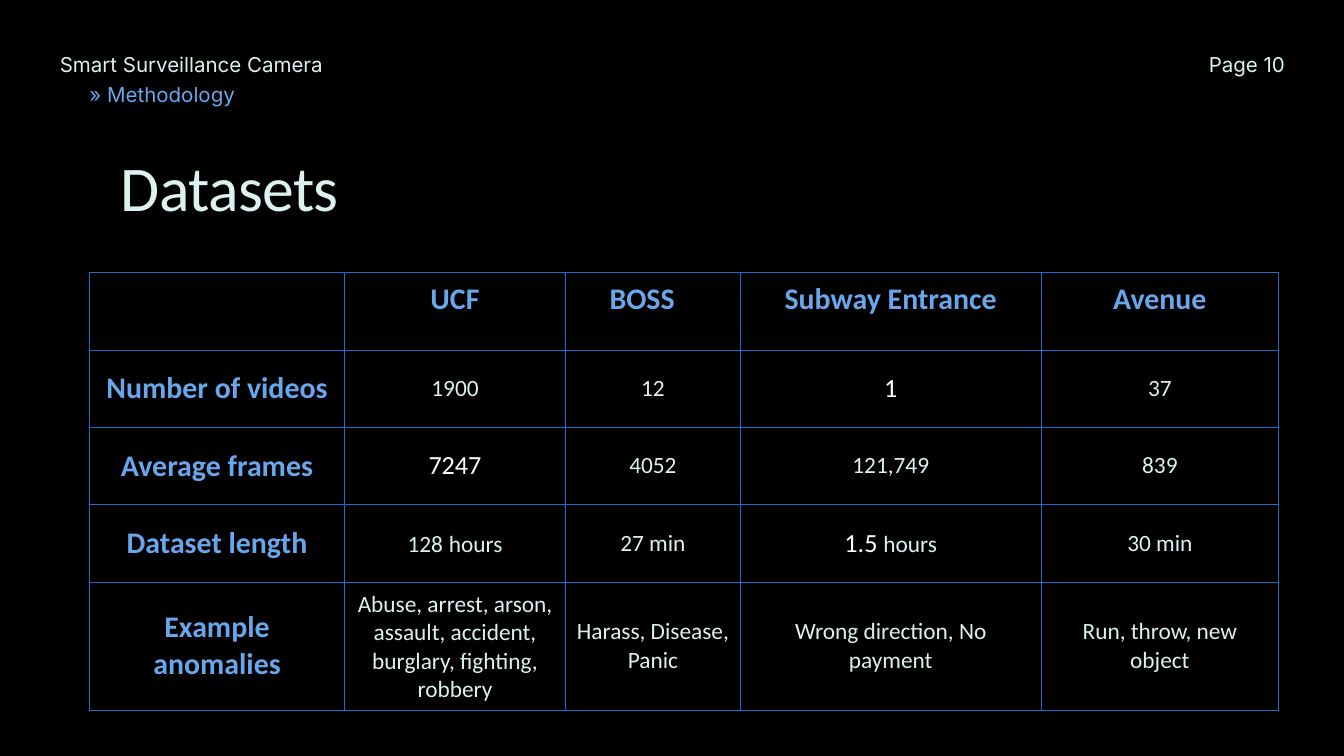
"""Build the Datasets slide: page header, title and dataset comparison table."""
from lxml import etree
from pptx import Presentation
from pptx.dml.color import RGBColor
from pptx.enum.text import MSO_ANCHOR, PP_ALIGN
from pptx.oxml.ns import qn
from pptx.util import Pt

LEFT, CENTER, RIGHT = PP_ALIGN.LEFT, PP_ALIGN.CENTER, PP_ALIGN.RIGHT
TOP, MIDDLE = MSO_ANCHOR.TOP, MSO_ANCHOR.MIDDLE
MINT, SKY, BLUE, WHITE, BLACK = "DCF2F0", "69A7ED", "196DCD", "FFFFFF", "000000"


def rgb(value):
    return RGBColor.from_string(value)


def add_text(p, text, font="Calibri", size=25, color=MINT, bold=False, align=CENTER, spc=None):
    p.alignment = align
    r = p.add_run()
    r.text = text
    r.font.name = font
    r.font.size = Pt(size)
    r.font.bold = bold
    r.font.color.rgb = rgb(color)
    if spc is not None:
        r._r.get_or_add_rPr().set("spc", str(spc))


prs = Presentation()
prs.slide_width, prs.slide_height = Pt(1440), Pt(810)
s = prs.slides.add_slide(prs.slide_layouts[6])
s.background.fill.solid()
s.background.fill.fore_color.rgb = rgb(BLACK)

header = dict(font="Inter", size=22)
boxes = [
    ("Page 10", 1283.8, 51.8, 92.9, 29.5, 30.8, dict(header, align=RIGHT)),
    ("Smart Surveillance Camera", 64.1, 51.8, 284.4, 28.8, 30.8, dict(header, align=LEFT)),
    ("» Methodology", 95.8, 83.5, 190.8, 29.5, 30.8, dict(header, align=LEFT, color=SKY)),
    ("Datasets", 129.6, 164.2, 716.4, 77, 75.7, dict(size=68.2, align=LEFT, spc=-70)),
]
for text, x, y, w, h, spacing, fmt in boxes:
    tf = s.shapes.add_textbox(Pt(x), Pt(y), Pt(w), Pt(h)).text_frame
    tf.margin_left = tf.margin_top = tf.margin_right = tf.margin_bottom = 0
    tf.word_wrap = True
    p = tf.paragraphs[0]
    p.line_spacing = Pt(spacing)
    add_text(p, text, **fmt)

# Text between bars is set larger and in white.
rows = [
    ["", "UCF", "BOSS", "Subway Entrance", "Avenue"],
    ["Number of videos", "1900", "12", "|1|", "37"],
    ["Average frames", "|7247|", "4052", "121,749", "839"],
    ["Dataset length", "128| |hours", "27 min", "|1.5 |hours", "30 min"],
    ["Example anomalies", "Abuse, arrest, arson, assault, accident, burglary, fighting, robbery",
     "Harass, Disease, Panic", "Wrong direction, No payment", "Run, throw, new object"],
]
widths = [273.6, 236.2, 187.9, 321.8, 254.9]
row_height = 82.8
table = s.shapes.add_table(len(rows), len(widths), Pt(95.8), Pt(292.3),
                           Pt(sum(widths)), Pt(row_height * len(rows))).table
table.first_row = table.horz_banding = False
for col, width in zip(table.columns, widths):
    col.width = Pt(width)

for i, row in enumerate(rows):
    for j, text in enumerate(row):
        cell = table.cell(i, j)
        cell.margin_left = cell.margin_right = Pt(11.5)
        cell.margin_top = cell.margin_bottom = Pt(8.6)
        cell.vertical_anchor = MIDDLE if i else TOP
        tcPr = cell._tc.get_or_add_tcPr()
        for side in ("a:lnL", "a:lnR", "a:lnT", "a:lnB"):
            ln = etree.SubElement(tcPr, qn(side), w=str(Pt(1)))
            fill = etree.SubElement(ln, qn("a:solidFill"))
            etree.SubElement(fill, qn("a:srgbClr"), val=BLUE)
        cell.fill.background()
        p = cell.text_frame.paragraphs[0]
        if i == 0 or j == 0:
            if text == "BOSS":
                p.level = 1
                pPr = p._p.get_or_add_pPr()
                pPr.set("marL", str(Pt(36)))
                pPr.set("indent", "0")
            if text:
                add_text(p, text, size=32, color=SKY, bold=True,
                         align=LEFT if text == "BOSS" else CENTER)
            continue
        for k, part in enumerate(text.split("|")):
            if part:
                add_text(p, part, **(dict(size=28, color=WHITE) if k % 2 else {}))

prs.save("out.pptx")
